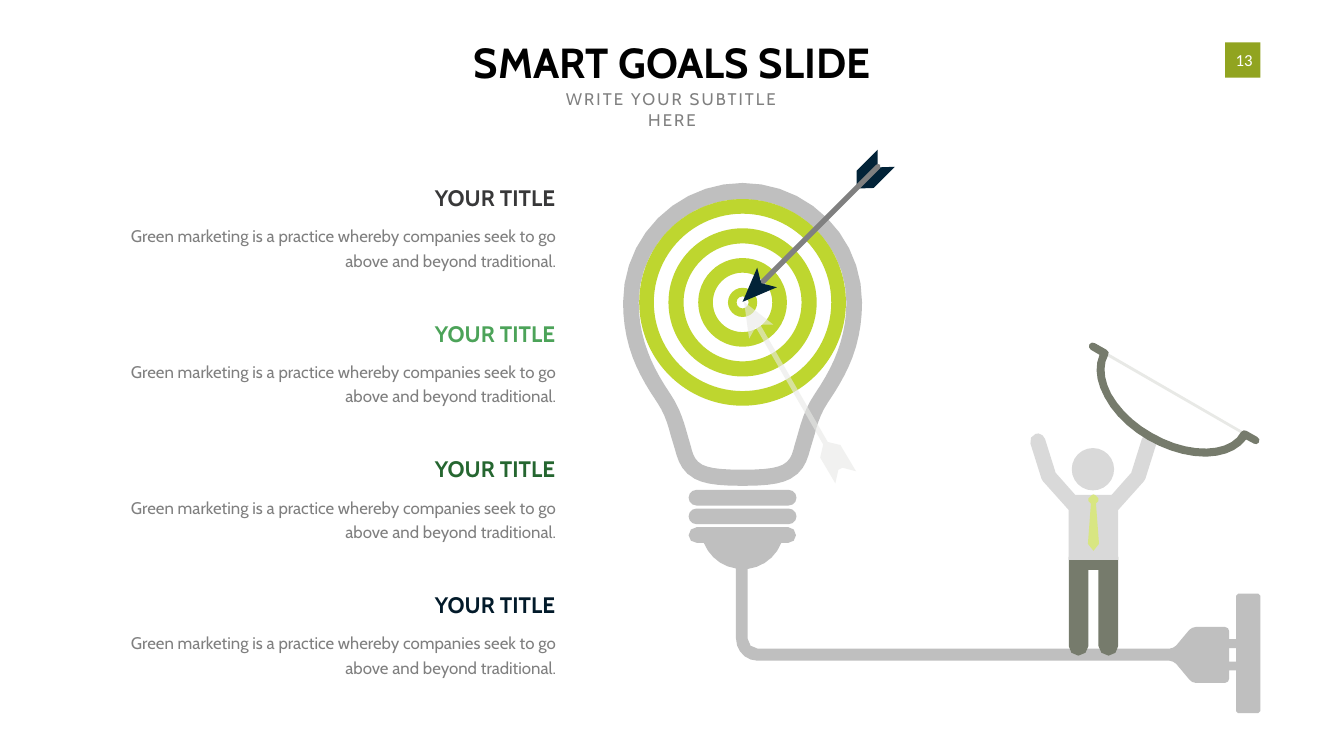
from math import dist

from lxml.etree import SubElement
from pptx import Presentation
from pptx.dml.color import RGBColor
from pptx.enum.shapes import MSO_SHAPE
from pptx.enum.text import MSO_ANCHOR, MSO_AUTO_SIZE, PP_ALIGN
from pptx.oxml.ns import qn
from pptx.util import Inches, Pt

WIDTH, HEIGHT = 26.66, 15
BLACK = RGBColor(0x00, 0x00, 0x00)
WHITE = RGBColor(0xFF, 0xFF, 0xFF)
OLIVE = RGBColor(0x91, 0xA4, 0x20)
MID_GREY = RGBColor(0x80, 0x80, 0x80)
BODY_GREY = RGBColor(0x7F, 0x7F, 0x7F)
BULB_GREY = RGBColor(0xBF, 0xBF, 0xBF)
MAN_GREY = RGBColor(0xD9, 0xD9, 0xD9)
PALE = RGBColor(0xE8, 0xE9, 0xE6)
MOSS = RGBColor(0x76, 0x7B, 0x6C)
LIME = RGBColor(0xBE, 0xD6, 0x2F)
TIE_LIME = RGBColor(0xD8, 0xE6, 0x82)
NAVY = RGBColor(0x02, 0x23, 0x38)

# Text content
TITLE = "SMART GOALS SLIDE"
SUBTITLE = "WRITE YOUR SUBTITLE HERE"
PAGE_NUMBER = "13"
BODY = "Green marketing is a practice whereby companies seek to go above and beyond traditional."
GOALS = [
    ("YOUR TITLE", RGBColor(0x38, 0x38, 0x39)),
    ("YOUR TITLE", RGBColor(0x4C, 0xA3, 0x59)),
    ("YOUR TITLE", RGBColor(0x25, 0x66, 0x30)),
    ("YOUR TITLE", RGBColor(0x02, 0x1A, 0x2A)),
]
GOAL_TOP, GOAL_PITCH, BODY_OFFSET = 3.6, 2.69, 0.68

# Outlines in inches: a pair is a line end, six numbers are a cubic curve
BULB_AXIS, MAN_AXIS = 14.73, 21.69
TARGET_MIDDLE = 6
TARGET_RINGS = [(2.05, 1.76), (1.47, 1.17), (0.88, 0.59), (0.29, 0.12)]
COIL_TOPS = [9.72, 10.09]

BULB_OUTER_HALF = [
    (14.73, 9.64), (14.23, 9.64, 13.97, 9.6, 13.78, 9.5), (13.5, 9.35, 13.44, 9.1, 13.39, 8.92),
    (13.3, 8.62), (13.25, 8.42, 13.18, 8.2, 13.04, 7.99), (12.82, 7.67, 12.66, 7.38, 12.55, 7.09),
    (12.42, 6.74, 12.36, 6.38, 12.36, 6), (12.36, 5.37, 12.61, 4.77, 13.05, 4.33),
    (13.5, 3.88, 14.1, 3.63, 14.73, 3.63)]
BULB_INNER_HALF = [
    (14.73, 9.32), (14.29, 9.32, 14.07, 9.29, 13.93, 9.22), (13.77, 9.13, 13.74, 9, 13.7, 8.84),
    (13.65, 8.67), (13.61, 8.53), (13.55, 8.32, 13.47, 8.07, 13.3, 7.82),
    (13.09, 7.51, 12.95, 7.25, 12.85, 6.98), (12.73, 6.66, 12.67, 6.34, 12.67, 6),
    (12.67, 5.45, 12.89, 4.94, 13.28, 4.55), (13.67, 4.16, 14.18, 3.95, 14.73, 3.95)]
CABLE_AND_PLUG = [
    (13.82, 10.46), (15.64, 10.46), (15.72, 10.46, 15.79, 10.53, 15.79, 10.62),
    (15.79, 10.71, 15.72, 10.77, 15.64, 10.77), (15.5, 10.77),
    (15.39, 11.05, 15.14, 11.25, 14.83, 11.29), (14.83, 12.67),
    (14.83, 12.78, 14.92, 12.87, 15.03, 12.87), (23.2, 12.87),
    (23.24, 12.87, 23.3, 12.84, 23.33, 12.81), (23.59, 12.5),
    (23.62, 12.47, 23.67, 12.44, 23.72, 12.44), (24.3, 12.44),
    (24.35, 12.44, 24.38, 12.48, 24.38, 12.52), (24.38, 12.68), (24.52, 12.68), (24.52, 11.82),
    (24.56, 11.78), (24.96, 11.78), (25, 11.82), (25, 14.11), (24.96, 14.15),
    (24.56, 14.15), (24.52, 14.11), (24.52, 13.3), (24.38, 13.3),
    (24.38, 13.47), (24.38, 13.51, 24.35, 13.55, 24.3, 13.55), (23.72, 13.55),
    (23.67, 13.55, 23.62, 13.52, 23.59, 13.48), (23.33, 13.17),
    (23.3, 13.14, 23.24, 13.11, 23.2, 13.11), (15.03, 13.11),
    (14.79, 13.11, 14.6, 12.91, 14.6, 12.67), (14.6, 11.28),
    (14.31, 11.24, 14.07, 11.04, 13.96, 10.77), (13.82, 10.77),
    (13.73, 10.77, 13.66, 10.71, 13.66, 10.62), (13.66, 10.53, 13.73, 10.46, 13.82, 10.46)]
PLUG_GAP = [(24.38, 12.86), (24.38, 13.13), (24.52, 13.13), (24.52, 12.86)]

ARROW_FEATHERS = [
    [(17.75, 3.31), (17.33, 3.73), (17.03, 3.74), (17.45, 3.32)],
    [(17.41, 2.97), (17.41, 3.27), (16.99, 3.69), (16.99, 3.39)]]
ARROW_SHAFT = [
    (15.03, 5.7), (15.03, 5.62), (17.38, 3.27), (17.4, 3.25, 17.44, 3.25, 17.46, 3.27),
    (17.46, 3.34), (15.1, 5.7)]
ARROW_HEAD = [(14.73, 5.99), (15.02, 5.31), (15.1, 5.62), (15.41, 5.7)]
FADED_ARROW = [
    (16.98, 9.35), (16.71, 9.28), (16.63, 9.32), (16.57, 9.59), (16.27, 9.08), (16.33, 8.82),
    (14.99, 6.49), (14.86, 6.72), (14.76, 5.99), (15.34, 6.44), (15.08, 6.44), (16.42, 8.77),
    (16.67, 8.83)]

TROUSERS_HALF = [
    (21.69, 11.05), (21.2, 11.05), (21.2, 12.82), (21.2, 12.92, 21.28, 13.01, 21.39, 13.01),
    (21.5, 13.01, 21.59, 12.92, 21.59, 12.82), (21.59, 11.31), (21.69, 11.31)]
SHIRT_HALF = [
    (21.69, 9.82), (21.33, 9.82), (20.94, 9.38), (20.73, 8.71),
    (20.71, 8.65, 20.66, 8.61, 20.6, 8.6), (20.54, 8.61),
    (20.46, 8.63, 20.42, 8.72, 20.44, 8.8), (20.66, 9.5), (20.69, 9.55),
    (21.2, 10.12), (21.2, 11.11), (21.69, 11.11)]
TIE_HALF = [
    (21.69, 9.81), (21.66, 9.82), (21.59, 9.89), (21.59, 9.94), (21.64, 9.99), (21.58, 10.79),
    (21.69, 10.93)]
BOW_STRING = [
    (24.69, 8.64), (21.9, 7.03), (21.89, 6.99), (21.93, 6.98), (24.71, 8.59), (24.72, 8.63)]
BOW = [
    (23.9, 9.06), (23.54, 9.06, 23.14, 8.94, 22.77, 8.73), (22.39, 8.51, 22.08, 8.21, 21.91, 7.88),
    (21.74, 7.57, 21.71, 7.28, 21.81, 7.04), (21.64, 6.94), (21.6, 6.92, 21.59, 6.87, 21.61, 6.83),
    (21.64, 6.8, 21.68, 6.78, 21.72, 6.81), (21.95, 6.94), (21.99, 6.96, 22.01, 7.01, 21.98, 7.05),
    (21.87, 7.25, 21.89, 7.52, 22.04, 7.81), (22.21, 8.11, 22.49, 8.39, 22.85, 8.59),
    (23.21, 8.8, 23.6, 8.91, 23.94, 8.9), (24.26, 8.89, 24.51, 8.78, 24.62, 8.57),
    (24.65, 8.54, 24.69, 8.52, 24.73, 8.55), (24.94, 8.67), (24.98, 8.69, 25, 8.74, 24.97, 8.78),
    (24.95, 8.81, 24.9, 8.83, 24.87, 8.8), (24.72, 8.72), (24.56, 8.93, 24.29, 9.05, 23.94, 9.06)]


def trace(outline):
    """Turn lines and cubic curves into points, with more points on long curves."""
    points = []
    for segment in outline:
        if len(segment) == 2:
            points.append(segment)
            continue
        start, controls = points[-1], (segment[:2], segment[2:4], segment[4:])
        steps = 5 if dist(start, segment[4:]) > 0.3 else 2
        for step in range(1, steps + 1):
            t = step / steps
            weights = ((1 - t) ** 3, 3 * t * (1 - t) ** 2, 3 * t * t * (1 - t), t ** 3)
            points.append(tuple(sum(weight * point[axis] for weight, point in zip(weights, (start, *controls)))
                                for axis in (0, 1)))
    return points


def mirrored(half, axis):
    side = trace(half)
    return side + [(2 * axis - x, y) for x, y in reversed(side[1:-1])]


def paint(shape, color):
    shape.shadow.inherit = False
    shape.fill.solid()
    shape.fill.fore_color.rgb = color
    shape.line.fill.background()
    return shape


def add_preset(shapes, kind, box, color):
    return paint(shapes.add_shape(kind, *map(Inches, box)), color)


def add_outline(shapes, color, *outlines):
    contours = [[(Inches(x), Inches(y)) for x, y in trace(outline)] for outline in outlines]
    builder = shapes.build_freeform(*contours[0][0])
    for index, contour in enumerate(contours):
        if index:
            builder.move_to(*contour[0])
        builder.add_line_segments(contour[1:], close=True)
    return paint(builder.convert_to_shape(), color)


def write(shape, text, size, color, align, font="Cabin", bold=False, wrap=False):
    frame = shape.text_frame
    frame.text = text
    frame.word_wrap = wrap
    paragraph = frame.paragraphs[0]
    paragraph.alignment = align
    run_font = paragraph.runs[0].font
    run_font.name, run_font.size, run_font.bold = font, Pt(size), bold
    run_font.color.rgb = color
    return frame


def add_text(shapes, box, *style, **options):
    frame = write(shapes.add_textbox(*map(Inches, box)), *style, **options)
    frame.auto_size = MSO_AUTO_SIZE.SHAPE_TO_FIT_TEXT
    return frame


def main():
    presentation = Presentation()
    presentation.slide_width, presentation.slide_height = Inches(WIDTH), Inches(HEIGHT)
    slide = presentation.slides.add_slide(presentation.slide_layouts[6])
    shapes = slide.shapes

    # Header and page number
    badge = add_preset(shapes, MSO_SHAPE.RECTANGLE, (24.3, 0.84, 0.7, 0.7), OLIVE)
    frame = write(badge, PAGE_NUMBER, 24, WHITE, PP_ALIGN.CENTER, font="Calibri")
    frame.margin_left = Inches(0.16)
    frame.vertical_anchor = MSO_ANCHOR.MIDDLE
    add_text(shapes, ((WIDTH - 8.59) / 2, 0.67, 8.59, 1.11), TITLE, 60, BLACK, PP_ALIGN.CENTER, bold=True)
    frame = add_text(shapes, ((WIDTH - 5.43) / 2, 1.72, 5.43, 0.5), SUBTITLE, 24, MID_GREY,
                     PP_ALIGN.CENTER, wrap=True)
    frame.paragraphs[0].runs[0].font._element.set("spc", "300")

    # Bulb, coils, cable and plug
    add_outline(shapes, BULB_GREY, PLUG_GAP, CABLE_AND_PLUG)
    for top in COIL_TOPS:
        bar = add_preset(shapes, MSO_SHAPE.ROUNDED_RECTANGLE, (13.66, top, 2.14, 0.31), BULB_GREY)
        bar.adjustments[0] = 0.5
    add_outline(shapes, BULB_GREY, *(mirrored(half, BULB_AXIS) for half in (BULB_INNER_HALF, BULB_OUTER_HALF)))

    # Target rings
    for outer, inner in TARGET_RINGS:
        box = (BULB_AXIS - outer, TARGET_MIDDLE - outer, 2 * outer, 2 * outer)
        ring = add_preset(shapes, MSO_SHAPE.DONUT, box, LIME)
        ring.adjustments[0] = (outer - inner) / (2 * outer)

    # Arrow in the target
    arrow = shapes.add_group_shape().shapes
    add_outline(arrow, NAVY, *ARROW_FEATHERS)
    add_outline(arrow, MID_GREY, ARROW_SHAFT)
    add_outline(arrow, NAVY, ARROW_HEAD)

    # Archer and bow
    add_preset(shapes, MSO_SHAPE.OVAL, (21.26, 8.89, 0.84, 0.84), MAN_GREY)
    for half, color in ((TROUSERS_HALF, MOSS), (SHIRT_HALF, MAN_GREY), (TIE_HALF, TIE_LIME)):
        add_outline(shapes, color, mirrored(half, MAN_AXIS))
    add_outline(shapes, PALE, BOW_STRING)
    add_outline(shapes, MOSS, BOW)

    # Goals
    for row, (heading, color) in enumerate(GOALS):
        top = GOAL_TOP + row * GOAL_PITCH
        frame = add_text(shapes, (8.43, top, 2.68, 0.64), heading, 32, color, PP_ALIGN.RIGHT, bold=True)
        frame.vertical_anchor = MSO_ANCHOR.MIDDLE
        frame = add_text(shapes, (1.66, top + BODY_OFFSET, 9.61, 1.17), BODY, 24, BODY_GREY,
                         PP_ALIGN.RIGHT, wrap=True)
        frame.margin_left = frame.margin_right = Inches(0.24)
        frame.margin_top = frame.margin_bottom = Inches(0.12)
        frame.paragraphs[0].line_spacing = Pt(35)

    # Faded arrow
    faded = add_outline(shapes, PALE, FADED_ARROW)
    SubElement(next(faded._element.spPr.iter(qn("a:srgbClr"))), qn("a:alpha"), val="60000")

    presentation.save("out.pptx")


if __name__ == "__main__":
    main()
